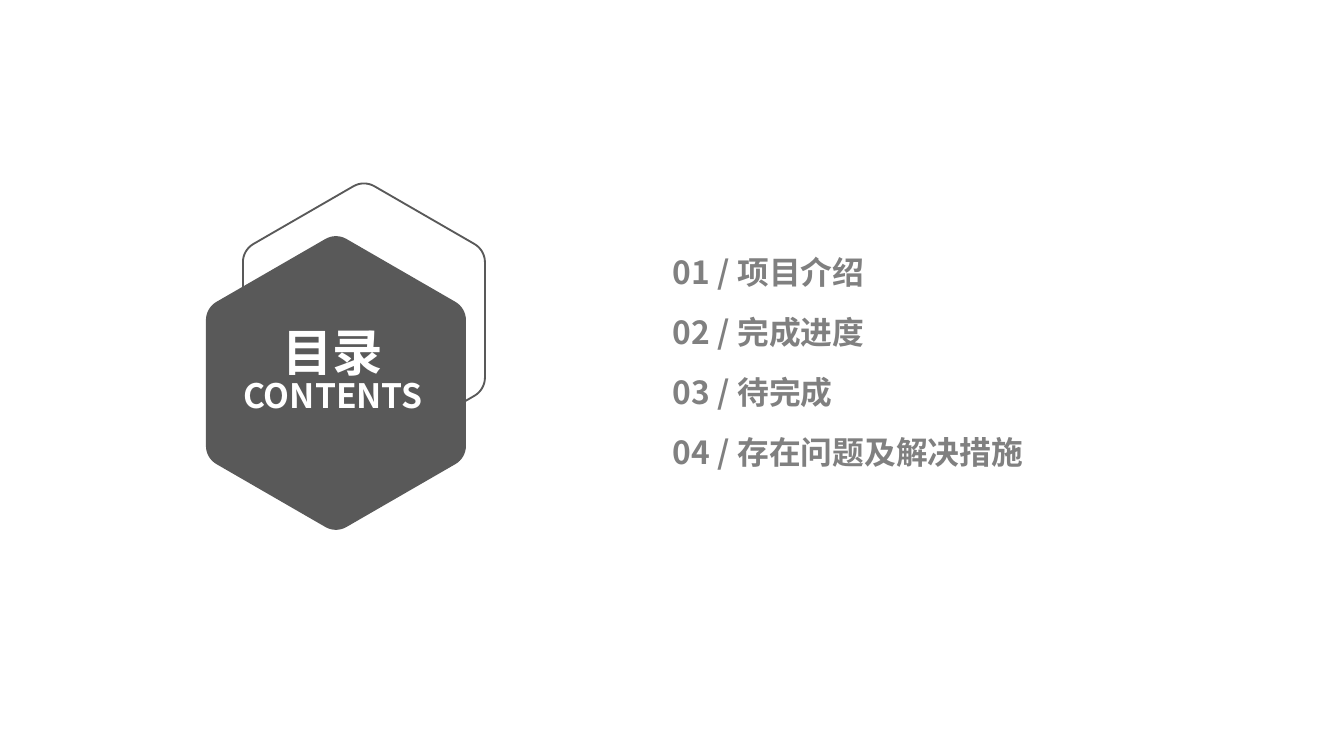
from math import cos, pi, sin

from lxml.etree import SubElement
from pptx import Presentation
from pptx.dml.color import RGBColor
from pptx.enum.text import MSO_AUTO_SIZE, PP_ALIGN
from pptx.oxml.ns import qn
from pptx.util import Pt

PX = 914400 / 134.4
THEME = {
    "font": "Noto Sans CJK SC",
    "dark": RGBColor(0x59, 0x59, 0x59),
    "grey": RGBColor(0x80, 0x80, 0x80),
    "white": RGBColor(0xFF, 0xFF, 0xFF),
    "item": 17,
    "title": 27,
    "subtitle": 18,
    "outline": 1,
    "line_spacing": 0.83,
}


def px(length):
    return round(length * PX)


def add_hexagon(page, center_x, center_y, half_width, corner=21, steps=8):
    reach = (half_width - corner) / cos(pi / 6)
    points = []
    for side in range(6):
        middle = side * pi / 3 - pi / 2
        for step in range(steps + 1):
            angle = middle + (step / steps - 0.5) * pi / 3
            points.append((
                px(center_x + reach * cos(middle) + corner * cos(angle)),
                px(center_y + reach * sin(middle) + corner * sin(angle)),
            ))
    builder = page.shapes.build_freeform(*points[0])
    builder.add_line_segments(points[1:], close=True)
    hexagon = builder.convert_to_shape()
    hexagon.shadow.inherit = False
    return hexagon


def add_text(page, left, top, width, height, lines, color, align):
    box = page.shapes.add_textbox(px(left), px(top), px(width), px(height))
    frame = box.text_frame
    frame.word_wrap = True
    frame.auto_size = MSO_AUTO_SIZE.SHAPE_TO_FIT_TEXT
    frame.margin_left = frame.margin_right = px(9)
    frame.margin_top, frame.margin_bottom = px(8), px(2)
    frame.text = "\n".join(text for text, size in lines)
    for para, (text, size) in zip(frame.paragraphs, lines):
        para.alignment = align
        para.line_spacing = THEME["line_spacing"]
        span = para.runs[0]
        span.font.name = THEME["font"]
        span.font.size = Pt(size)
        span.font.bold = True
        span.font.color.rgb = color
        SubElement(span.font._element, qn("a:ea")).set("typeface", THEME["font"])


deck = Presentation()
deck.slide_width, deck.slide_height = px(1344), px(756)
page = deck.slides.add_slide(deck.slide_layouts[6])

outline_hexagon = add_hexagon(page, 364, 320, 121)
outline_hexagon.fill.background()
outline_hexagon.line.color.rgb = THEME["dark"]
outline_hexagon.line.width = Pt(THEME["outline"])

items = [
    ("项目介绍", 554),
    ("完成进度", 454),
    ("待完成", 505),
    ("存在问题及解决措施", 481),
]
for row, (name, width) in enumerate(items):
    line = (f"{row + 1:02d} / {name}", THEME["item"])
    add_text(page, 664, 251 + 60 * row, width, 48, [line], THEME["grey"], PP_ALIGN.LEFT)

title_hexagon = add_hexagon(page, 336, 383, 130)
title_hexagon.fill.solid()
title_hexagon.fill.fore_color.rgb = THEME["dark"]
title_hexagon.line.fill.background()

title_lines = [("目录", THEME["title"]), ("CONTENTS", THEME["subtitle"])]
add_text(page, 211, 323, 244, 112, title_lines, THEME["white"], PP_ALIGN.CENTER)

deck.save("out.pptx")
